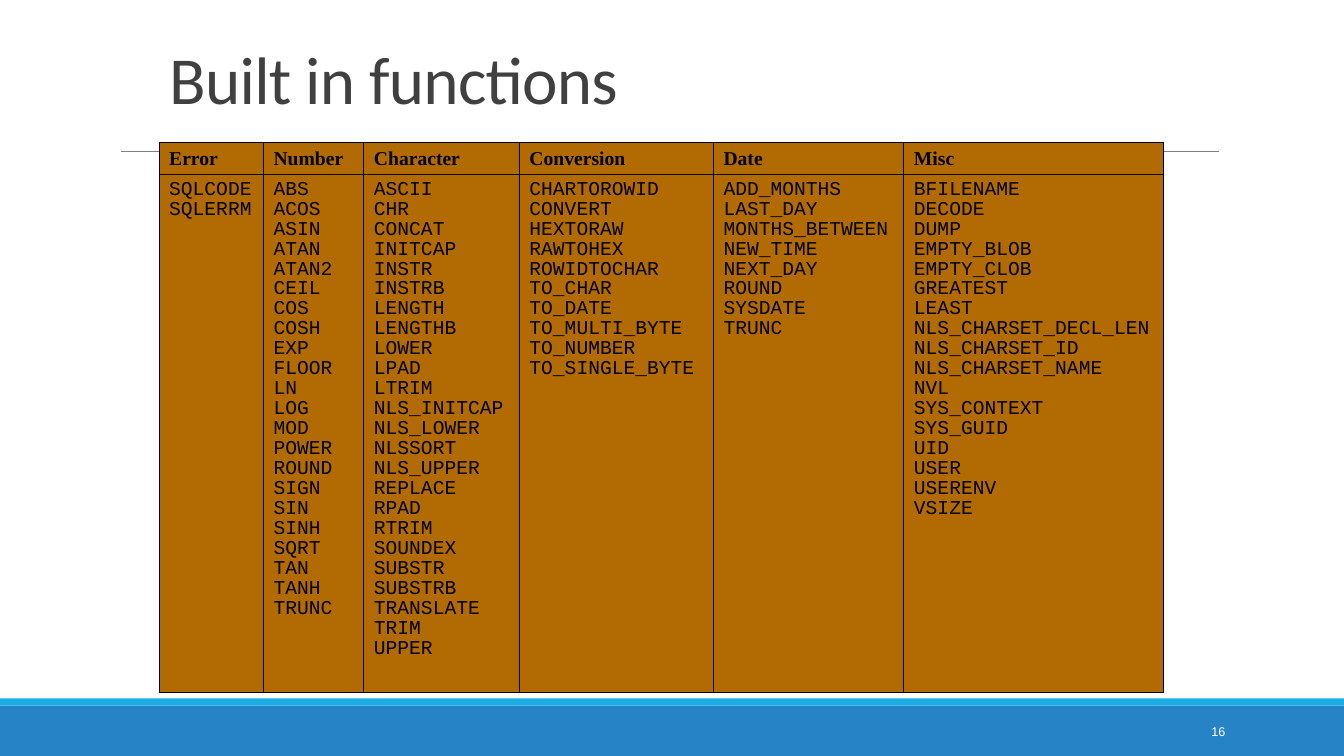
from pptx import Presentation
from pptx.dml.color import RGBColor
from pptx.enum.shapes import MSO_CONNECTOR, MSO_SHAPE
from pptx.enum.text import MSO_ANCHOR, PP_ALIGN
from pptx.oxml import parse_xml
from pptx.oxml.ns import nsdecls
from pptx.util import Cm, Pt

HUES = {
    "blue": "2683C6",
    "cyan": "1CADE4",
    "gray": "808080",
    "dark": "404040",
    "white": "FFFFFF",
    "black": "000000",
    "brown": "B26B02",
}
LISTS = {
    "Error": "SQLCODE SQLERRM",
    "Number": "ABS ACOS ASIN ATAN ATAN2 CEIL COS COSH EXP FLOOR LN LOG MOD "
              "POWER ROUND SIGN SIN SINH SQRT TAN TANH TRUNC",
    "Character": "ASCII CHR CONCAT INITCAP INSTR INSTRB LENGTH LENGTHB LOWER "
                 "LPAD LTRIM NLS_INITCAP NLS_LOWER NLSSORT NLS_UPPER REPLACE "
                 "RPAD RTRIM SOUNDEX SUBSTR SUBSTRB TRANSLATE TRIM UPPER",
    "Conversion": "CHARTOROWID CONVERT HEXTORAW RAWTOHEX ROWIDTOCHAR TO_CHAR "
                  "TO_DATE TO_MULTI_BYTE TO_NUMBER TO_SINGLE_BYTE",
    "Date": "ADD_MONTHS LAST_DAY MONTHS_BETWEEN NEW_TIME NEXT_DAY ROUND "
            "SYSDATE TRUNC",
    "Misc": "BFILENAME DECODE DUMP EMPTY_BLOB EMPTY_CLOB GREATEST LEAST "
            "NLS_CHARSET_DECL_LEN NLS_CHARSET_ID NLS_CHARSET_NAME NVL "
            "SYS_CONTEXT SYS_GUID UID USER USERENV VSIZE",
}
WIDTHS = [2.63, 2.53, 3.92, 4.89, 4.8, 6.55]


def add_run(para, text, font, size, hue, bold=False):
    run = para.add_run()
    run.text = text
    run.font.name = font
    run.font.size = Pt(size)
    run.font.bold = bold
    run.font.color.rgb = RGBColor.from_string(HUES[hue])
    return run


def fill_cell(cell, lines, font, bold):
    props = cell._tc.get_or_add_tcPr()
    for side in ("lnL", "lnR", "lnT", "lnB"):
        props.append(parse_xml(
            f'<a:{side} {nsdecls("a")} w="9525"><a:solidFill>'
            f'<a:srgbClr val="{HUES["black"]}"/></a:solidFill></a:{side}>'))
    cell.fill.solid()
    cell.fill.fore_color.rgb = RGBColor.from_string(HUES["brown"])
    frame = cell.text_frame
    for num, line in enumerate(lines):
        para = frame.add_paragraph() if num else frame.paragraphs[0]
        para.line_spacing = 0.9
        indent = para._p.get_or_add_pPr()
        indent.set("marL", str(Cm(0.61)))
        indent.set("indent", str(-Cm(0.61)))
        add_run(para, line, font, 14, "black", bold)


deck = Presentation()
deck.slide_width = Cm(33.87)
deck.slide_height = Cm(19.05)
slide = deck.slides.add_slide(deck.slide_layouts[5])
shapes = slide.shapes

for top, height, hue in ((17.78, 1.27, "blue"), (17.6, 0.18, "cyan")):
    band = shapes.add_shape(
        MSO_SHAPE.RECTANGLE, 0, Cm(top), deck.slide_width, Cm(height))
    band.shadow.inherit = False
    band.fill.solid()
    band.fill.fore_color.rgb = RGBColor.from_string(HUES[hue])
    band.line.fill.background()

rule = shapes.add_connector(
    MSO_CONNECTOR.STRAIGHT, Cm(3.05), Cm(3.82), Cm(30.73), Cm(3.82))
rule.line.color.rgb = RGBColor.from_string(HUES["gray"])
rule.line.width = Pt(0.5)
rule._element.spPr.append(parse_xml(f'<a:effectLst {nsdecls("a")}/>'))

page = shapes.add_textbox(Cm(27.5), Cm(17.93), Cm(3.63), Cm(1.02))
page.text_frame.word_wrap = True
page.text_frame.vertical_anchor = MSO_ANCHOR.MIDDLE
para = page.text_frame.paragraphs[0]
para.alignment = PP_ALIGN.RIGHT
add_run(para, "16", "Arial", 9, "white")

title = shapes.title
title.left, title.top = Cm(4.01), Cm(0.79)
title.width, title.height = Cm(28.3), Cm(2.31)
title.text_frame.vertical_anchor = MSO_ANCHOR.BOTTOM
para = title.text_frame.paragraphs[0]
para.alignment = PP_ALIGN.LEFT
para.line_spacing = 0.85
run = add_run(para, "Built in functions", "Calibri", 48, "dark")
run.font._element.set("spc", "-50")

table = shapes.add_table(
    2, len(LISTS), Cm(4.01), Cm(3.6), Cm(sum(WIDTHS)), Cm(13.74)).table
table.rows[0].height = Cm(0.76)
table.rows[1].height = Cm(12.98)
for col, (head, names) in enumerate(LISTS.items()):
    table.columns[col].width = Cm(WIDTHS[col])
    top = table.cell(0, col)
    top.vertical_anchor = MSO_ANCHOR.BOTTOM
    fill_cell(top, [head], "Times New Roman", True)
    fill_cell(table.cell(1, col), names.split(), "Courier New", False)

deck.save("out.pptx")
